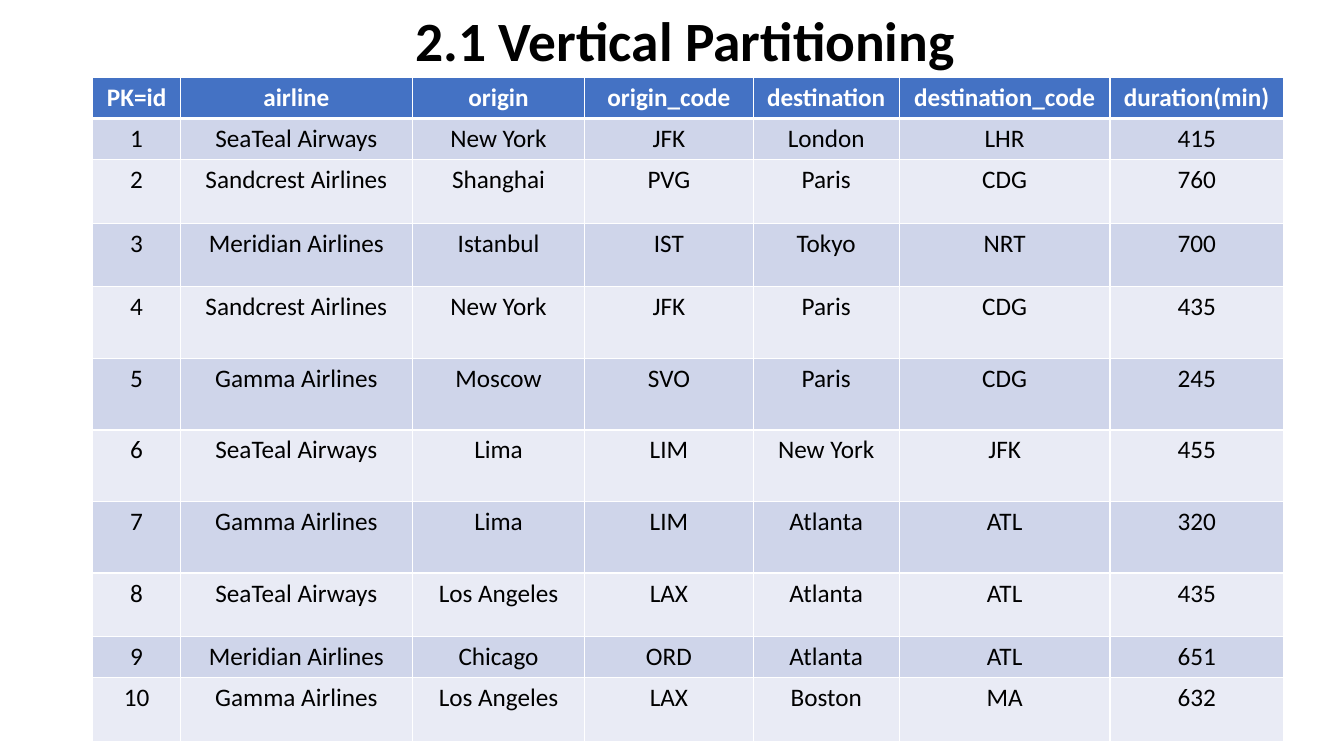
from lxml import etree
from pptx import Presentation
from pptx.dml.color import RGBColor
from pptx.enum.text import MSO_ANCHOR, MSO_AUTO_SIZE, PP_ALIGN
from pptx.oxml.ns import qn
from pptx.util import Inches, Pt

LEFT, CENTER = PP_ALIGN.LEFT, PP_ALIGN.CENTER
MIDDLE = MSO_ANCHOR.MIDDLE
NO_AUTOFIT = MSO_AUTO_SIZE.NONE

BLACK = RGBColor(0x00, 0x00, 0x00)
WHITE = RGBColor(0xFF, 0xFF, 0xFF)
HEADER_BLUE = RGBColor(0x44, 0x72, 0xC4)
BAND_DARK = RGBColor(0xCF, 0xD5, 0xEA)
BAND_LIGHT = RGBColor(0xE9, 0xEB, 0xF5)

COLUMN_WIDTHS = [0.87, 2.3, 1.71, 1.67, 1.45, 2.09, 1.72]
ROW_HEIGHTS = [0.4, 0.41, 0.63, 0.63, 0.71, 0.71, 0.71, 0.71, 0.63, 0.41, 0.63]
FLIGHTS = [
    ["PK=id", "airline", "origin", "origin_code", "destination",
     "destination_code", "duration(min)"],
    ["1", "SeaTeal Airways", "New York", "JFK", "London", "LHR", "415"],
    ["2", "Sandcrest Airlines", "Shanghai", "PVG", "Paris", "CDG", "760"],
    ["3", "Meridian Airlines", "Istanbul", "IST", "Tokyo", "NRT", "700"],
    ["4", "Sandcrest Airlines", "New York", "JFK", "Paris", "CDG", "435"],
    ["5", "Gamma Airlines", "Moscow", "SVO", "Paris", "CDG", "245"],
    ["6", "SeaTeal Airways", "Lima", "LIM", "New York", "JFK", "455"],
    ["7", "Gamma Airlines", "Lima", "LIM", "Atlanta", "ATL", "320"],
    ["8", "SeaTeal Airways", "Los Angeles", "LAX", "Atlanta", "ATL", "435"],
    ["9", "Meridian Airlines", "Chicago", "ORD", "Atlanta", "ATL", "651"],
    ["10", "Gamma Airlines", "Los Angeles", "LAX", "Boston", "MA", "632"],
]


class SlideBuilder:
    def __init__(self, slide, font_name):
        self.slide = slide
        self.font_name = font_name

    def style(self, paragraph, size, color, bold, alignment):
        paragraph.alignment = alignment
        font = paragraph.font
        font.name, font.size, font.bold = self.font_name, Pt(size), bold
        font.color.rgb = color

    def title(self, text, left, top, width, height, indent):
        shape = self.slide.shapes.title
        shape.left, shape.top = Inches(left), Inches(top)
        shape.width, shape.height = Inches(width), Inches(height)
        frame = shape.text_frame
        frame.text = text
        frame.auto_size = NO_AUTOFIT
        frame.vertical_anchor = MIDDLE
        frame.margin_left = Inches(indent)
        paragraph = frame.paragraphs[0]
        paragraph.line_spacing = 0.9
        self.style(paragraph, 39.6, BLACK, True, LEFT)

    def border(self, cell, side, width):
        properties = cell._tc.get_or_add_tcPr()
        line = etree.SubElement(properties, qn(f"a:ln{side}"), w=str(Pt(width)))
        fill = etree.SubElement(line, qn("a:solidFill"))
        etree.SubElement(fill, qn("a:srgbClr"), val=str(WHITE))

    def cell(self, cell, text, row):
        header = row == 0
        # Borders come before the fill in the cell properties
        for side in "LRTB":
            thick = (side == "B" and header) or (side == "T" and row == 1)
            self.border(cell, side, 3 if thick else 1)
        cell.fill.solid()
        if header:
            cell.fill.fore_color.rgb = HEADER_BLUE
        else:
            cell.fill.fore_color.rgb = BAND_DARK if row % 2 else BAND_LIGHT
        cell.text = text
        self.style(cell.text_frame.paragraphs[0], 18,
                   WHITE if header else BLACK, header, CENTER)

    def table(self, rows, left, top, widths, heights):
        table = self.slide.shapes.add_table(
            len(rows), len(widths), Inches(left), Inches(top),
            Inches(sum(widths)), Inches(sum(heights))).table
        for column, width in zip(table.columns, widths):
            column.width = Inches(width)
        for table_row, height in zip(table.rows, heights):
            table_row.height = Inches(height)
        for row, values in enumerate(rows):
            for column, text in enumerate(values):
                self.cell(table.cell(row, column), text, row)


def main():
    presentation = Presentation()
    presentation.slide_width = Inches(13.33)
    presentation.slide_height = Inches(7.5)
    title_only = presentation.slide_layouts[5]
    builder = SlideBuilder(presentation.slides.add_slide(title_only), "Calibri")

    # Heading
    builder.title("2.1 Vertical Partitioning", 0.92, 0.09, 11.5, 0.68, indent=3.2)

    # Flights table
    builder.table(FLIGHTS, 0.92, 0.77, COLUMN_WIDTHS, ROW_HEIGHTS)

    presentation.save("out.pptx")


if __name__ == "__main__":
    main()
